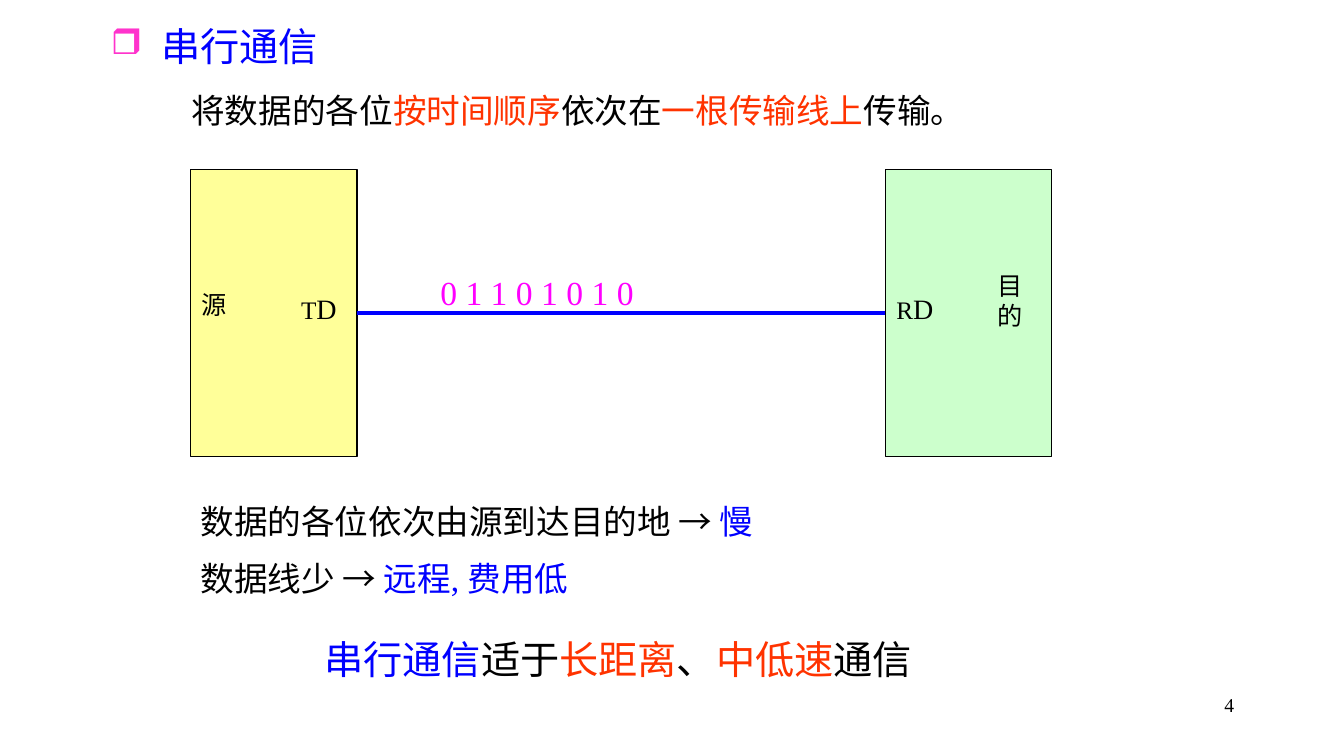
"""Build the slide on serial communication."""
from dataclasses import dataclass

import pptx
import pptx.dml.color
import pptx.enum.shapes
import pptx.enum.text
import pptx.oxml.ns
import pptx.util
from lxml import etree

Inches = pptx.util.Inches
ALIGN = pptx.enum.text.PP_ALIGN


@dataclass(frozen=True)
class Theme:
    font: str = "Times New Roman"
    heading_font: str = "Noto Sans CJK SC"
    black: str = "000000"
    blue: str = "0000FF"
    red: str = "FF3300"
    magenta: str = "FF00FF"
    bullet: str = "FF33CC"
    source: str = "FFFF99"
    target: str = "CCFFCC"
    heading: int = 28
    body: int = 24
    initial: int = 20
    label: int = 18
    number: int = 14


T = Theme()


@dataclass(frozen=True)
class Run:
    text: str
    color: str = T.black
    size: int = T.body
    font: str = T.font


@dataclass(frozen=True)
class Label:
    left: float
    top: float
    width: float
    height: float
    paragraphs: list[list[Run]]
    align: ALIGN = ALIGN.LEFT
    inset: bool = True
    spacing: float = 1.0
    after: int = 0


@dataclass(frozen=True)
class Station:
    left: float
    fill: str


STATION_TOP, STATION_WIDTH, STATION_HEIGHT = 1.68, 1.65, 2.85
SOURCE = Station(1.89, T.source)
TARGET = Station(8.78, T.target)


def port(letter: str) -> list[list[Run]]:
    """Return the text of a port label such as TD."""
    return [[Run(letter, size=T.label), Run("D", size=T.initial)]]


LABELS = [
    Label(1.8, 0.84, 10.9, 0.5, [[
        Run("将数据的各位"), Run("按时间顺序", T.red), Run("依次在"),
        Run("一根传输线上", T.red), Run("传输。")]]),
    Label(3.98, 2.7, 2.69, 0.35, [[Run("0 1 1 0 1 0 1 0", T.magenta)]],
          ALIGN.CENTER, inset=False),
    Label(2, 2.87, 0.56, 0.33, [[Run("源", size=T.label)]], inset=False),
    Label(2.56, 2.93, 0.78, 0.44, port("T"), ALIGN.RIGHT, inset=False, spacing=0.9),
    Label(8.89, 2.93, 0.78, 0.36, port("R"), inset=False, spacing=0.9),
    Label(9.89, 2.68, 0.56, 0.83,
          [[Run(c, size=T.label)] for c in "目的"], inset=False),
    Label(1.89, 4.92, 9.22, 1.11, [
        [Run("数据的各位依次由源到达目的地 → "), Run("慢", T.blue)],
        [Run("数据线少 → "), Run("远程, 费用低", T.blue)]], after=12),
    Label(3.12, 6.25, 6.09, 0.57, [[
        Run("串行通信", T.blue, T.heading), Run("适于", size=T.heading),
        Run("长距离", T.red, T.heading), Run("、", size=T.heading),
        Run("中低速", T.red, T.heading), Run("通信", size=T.heading)]]),
    Label(9.56, 6.83, 2.78, 0.5, [[Run("4", size=T.number)]], ALIGN.RIGHT),
]


def rgb(color: str) -> pptx.dml.color.RGBColor:
    """Turn a hex string into a colour."""
    return pptx.dml.color.RGBColor.from_string(color)


def add_runs(p, runs: list[Run]) -> None:
    """Add formatted runs to a paragraph."""
    for run in runs:
        r = p.add_run()
        r.text = run.text
        r.font.name = run.font
        r.font.size = pptx.util.Pt(run.size)
        r.font.color.rgb = rgb(run.color)


def add_bullet(p) -> None:
    """Give a paragraph the coloured square bullet and a hanging indent."""
    pPr = p._p.get_or_add_pPr()
    pPr.set("marL", str(Inches(0.5)))
    pPr.set("indent", str(-Inches(0.5)))
    qn = pptx.oxml.ns.qn
    color = etree.SubElement(pPr, qn("a:buClr"))
    etree.SubElement(color, qn("a:srgbClr"), val=T.bullet)
    etree.SubElement(pPr, qn("a:buSzPct"), val="90000")
    etree.SubElement(pPr, qn("a:buChar"), char="❒")


def format_title(sp) -> None:
    """Place the title and write the heading."""
    sp.left, sp.top = Inches(1), Inches(0.17)
    sp.width, sp.height = Inches(11.78), Inches(0.6)
    tf = sp.text_frame
    tf.auto_size = pptx.enum.text.MSO_AUTO_SIZE.NONE
    tf.vertical_anchor = pptx.enum.text.MSO_ANCHOR.TOP
    p = tf.paragraphs[0]
    p.alignment = ALIGN.LEFT
    add_bullet(p)
    add_runs(p, [Run("串行通信", T.blue, T.heading, T.heading_font)])


def add_label(s, label: Label) -> None:
    """Draw one text box."""
    sp = s.shapes.add_textbox(Inches(label.left), Inches(label.top),
                              Inches(label.width), Inches(label.height))
    tf = sp.text_frame
    tf.word_wrap = True
    if not label.inset:
        tf.margin_left = tf.margin_top = tf.margin_right = tf.margin_bottom = 0
    for i, runs in enumerate(label.paragraphs):
        p = tf.add_paragraph() if i else tf.paragraphs[0]
        p.alignment = label.align
        p.line_spacing = label.spacing
        p.space_after = pptx.util.Pt(label.after)
        add_runs(p, runs)


def add_station(s, station: Station):
    """Draw one end of the transmission line."""
    sp = s.shapes.add_shape(
        pptx.enum.shapes.MSO_SHAPE.RECTANGLE, Inches(station.left),
        Inches(STATION_TOP), Inches(STATION_WIDTH), Inches(STATION_HEIGHT))
    sp.shadow.inherit = False
    sp.fill.solid()
    sp.fill.fore_color.rgb = rgb(station.fill)
    sp.line.color.rgb = rgb(T.black)
    sp.line.width = pptx.util.Pt(1)
    return sp


def add_wire(s, source, target) -> None:
    """Join the two stations with the transmission line."""
    line = s.shapes.add_connector(pptx.enum.shapes.MSO_CONNECTOR.STRAIGHT, 0, 0, 0, 0)
    line.begin_connect(source, 3)
    line.end_connect(target, 1)
    line.line.color.rgb = rgb(T.blue)
    line.line.width = pptx.util.Pt(3)
    etree.SubElement(line._element.spPr, pptx.oxml.ns.qn("a:effectLst"))


def main() -> None:
    """Build and save the presentation."""
    prs = pptx.Presentation()
    prs.slide_width, prs.slide_height = Inches(13.33), Inches(7.5)
    s = prs.slides.add_slide(prs.slide_layouts.get_by_name("Title Only"))
    format_title(s.shapes.title)
    add_wire(s, add_station(s, SOURCE), add_station(s, TARGET))
    for label in LABELS:
        add_label(s, label)
    prs.save("out.pptx")


if __name__ == "__main__":
    main()
